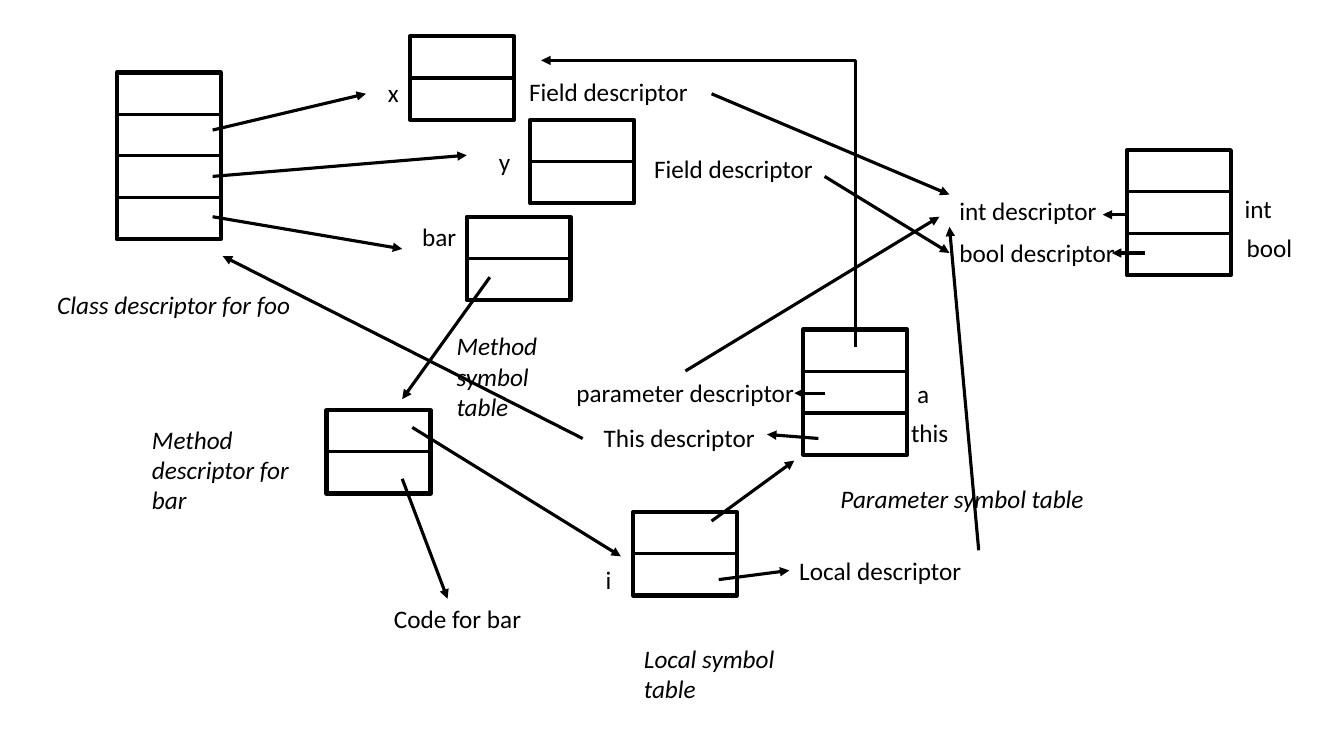
from dataclasses import dataclass

from lxml import etree
from pptx import Presentation
from pptx.dml.color import RGBColor
from pptx.enum.shapes import MSO_CONNECTOR, MSO_SHAPE
from pptx.enum.text import MSO_AUTO_SIZE
from pptx.oxml.ns import qn
from pptx.util import Pt

STRAIGHT = MSO_CONNECTOR.STRAIGHT
ELBOW = MSO_CONNECTOR.ELBOW
RECT = MSO_SHAPE.RECTANGLE
FIT_TEXT = MSO_AUTO_SIZE.SHAPE_TO_FIT_TEXT

BLACK = "000000"
WHITE = "FFFFFF"
FONT = "Calibri"
FONT_SIZE = 18
LINE_HEIGHT = 22
TABLE_WIDTH = 74.2
ROW_HEIGHT = 29.8


@dataclass(frozen=True)
class Table:
    left: float
    top: float
    rows: int = 2


@dataclass(frozen=True)
class Label:
    text: str
    left: float
    top: float
    width: float
    italic: bool = False
    lines: int = 1


@dataclass(frozen=True)
class Arrow:
    x1: float
    y1: float
    x2: float
    y2: float


TABLES = [
    Table(83.5, 51.8, rows=4),
    Table(293, 25.9),
    Table(378.7, 85.7),
    Table(333.4, 154.8),
    Table(805, 107.3, rows=3),
    Table(233.3, 293),
    Table(452.2, 365.8),
    Table(573.8, 235.4, rows=3),
]

LABELS = [
    Label("Class descriptor for foo", 33.8, 203, 236, italic=True),
    Label("x", 270, 51.8, 49),
    Label("y", 349.2, 100.8, 51),
    Label("bar", 294.5, 154.8, 65),
    Label("int", 882, 134.6, 58.3),
    Label("bool", 883.4, 162.7, 58.3),
    Label("int descriptor", 678.2, 136.1, 139.7),
    Label("bool descriptor", 678.2, 166.3, 139.7),
    Label("Field descriptor", 370.8, 51.1, 150.5),
    Label("Field descriptor", 460.1, 105.8, 150.5),
    Label("Method descriptor for bar", 101.5, 299.5, 132.5, italic=True, lines=3),
    Label("Code for bar", 274.3, 427.7, 210.2),
    Label("Method symbol table", 319, 232.6, 97.2, italic=True, lines=3),
    Label("this", 643.7, 294.5, 56.2),
    Label("a", 648, 266.4, 56.2),
    Label("i", 425.5, 399.6, 27.4),
    Label("Local descriptor", 563.8, 393.1, 158.4),
    Label("Local symbol table", 452.9, 455.8, 121, italic=True, lines=2),
    Label("This descriptor", 424.1, 298.1, 157),
    Label("parameter descriptor", 404.6, 265.7, 200.9),
    Label("Parameter symbol table", 593.3, 342, 213.1, italic=True),
]

ARROWS = [
    Arrow(151.9, 92.9, 261.4, 67),
    Arrow(151.9, 126, 333.4, 110.9),
    Arrow(151.9, 154.8, 287.3, 177.8),
    Arrow(508.3, 67, 678.2, 139),
    Arrow(589, 126, 678.2, 180.7),
    Arrow(805, 153.4, 787.7, 153.4),
    Arrow(817.9, 180.7, 794.2, 180.7),
    Arrow(287.3, 342, 319.7, 427.7),
    Arrow(349.9, 198, 287.3, 285.1),
    Arrow(294.5, 305.3, 443.5, 397.4),
    Arrow(508.3, 372.2, 567.4, 329),
    Arrow(513.4, 414, 563.8, 407.5),
    Arrow(699.1, 393.1, 678.2, 162),
    Arrow(589, 280.8, 567.4, 280.8),
    Arrow(584.6, 313.2, 547.9, 310.3),
    Arrow(489.6, 265, 671, 154.8),
    Arrow(416.2, 313.2, 159.1, 182.9),
]

PARAMETER_TO_FIELD = Arrow(611.3, 247.7, 386.6, 43.2)


def rgb(color: str) -> RGBColor:
    return RGBColor.from_string(color)


def add_line(s, a: Arrow, kind=STRAIGHT, head: bool = False):
    line = s.shapes.add_connector(kind, Pt(a.x1), Pt(a.y1), Pt(a.x2), Pt(a.y2))
    line.line.color.rgb = rgb(BLACK)
    line.line.width = Pt(2.25)
    sp_pr = line._element.spPr
    if head:
        etree.SubElement(sp_pr.find(qn("a:ln")), qn("a:tailEnd"), type="triangle")
    etree.SubElement(sp_pr, qn("a:effectLst"))
    return line


def add_elbow(s, a: Arrow) -> None:
    line = add_line(s, a, ELBOW, head=True)
    geom = line._element.spPr.find(qn("a:prstGeom"))
    guides = geom.find(qn("a:avLst"))
    if guides is None:
        guides = etree.SubElement(geom, qn("a:avLst"))
    etree.SubElement(guides, qn("a:gd"), name="adj1", fmla="val 0")


def add_symbol_table(s, t: Table) -> None:
    sp = s.shapes.add_shape(
        RECT, Pt(t.left), Pt(t.top), Pt(TABLE_WIDTH), Pt(t.rows * ROW_HEIGHT)
    )
    sp.shadow.inherit = False
    sp.fill.solid()
    sp.fill.fore_color.rgb = rgb(WHITE)
    sp.line.color.rgb = rgb(BLACK)
    sp.line.width = Pt(3)
    for row in range(1, t.rows):
        y = t.top + row * ROW_HEIGHT
        add_line(s, Arrow(t.left, y, t.left + TABLE_WIDTH, y))


def add_label(s, label: Label) -> None:
    height = label.lines * LINE_HEIGHT + 7
    sp = s.shapes.add_textbox(
        Pt(label.left), Pt(label.top), Pt(label.width), Pt(height)
    )
    tf = sp.text_frame
    tf.word_wrap = True
    tf.auto_size = FIT_TEXT
    tf.text = label.text
    r = tf.paragraphs[0].runs[0]
    r.font.name = FONT
    r.font.size = Pt(FONT_SIZE)
    r.font.color.rgb = rgb(BLACK)
    if label.italic:
        r.font.italic = True


def main() -> None:
    prs = Presentation()
    prs.slide_width, prs.slide_height = Pt(960), Pt(540)
    s = prs.slides.add_slide(prs.slide_layouts[6])
    for table in TABLES:
        add_symbol_table(s, table)
    for label in LABELS:
        add_label(s, label)
    for arrow in ARROWS:
        add_line(s, arrow, head=True)
    add_elbow(s, PARAMETER_TO_FIELD)
    prs.save("out.pptx")


if __name__ == "__main__":
    main()
